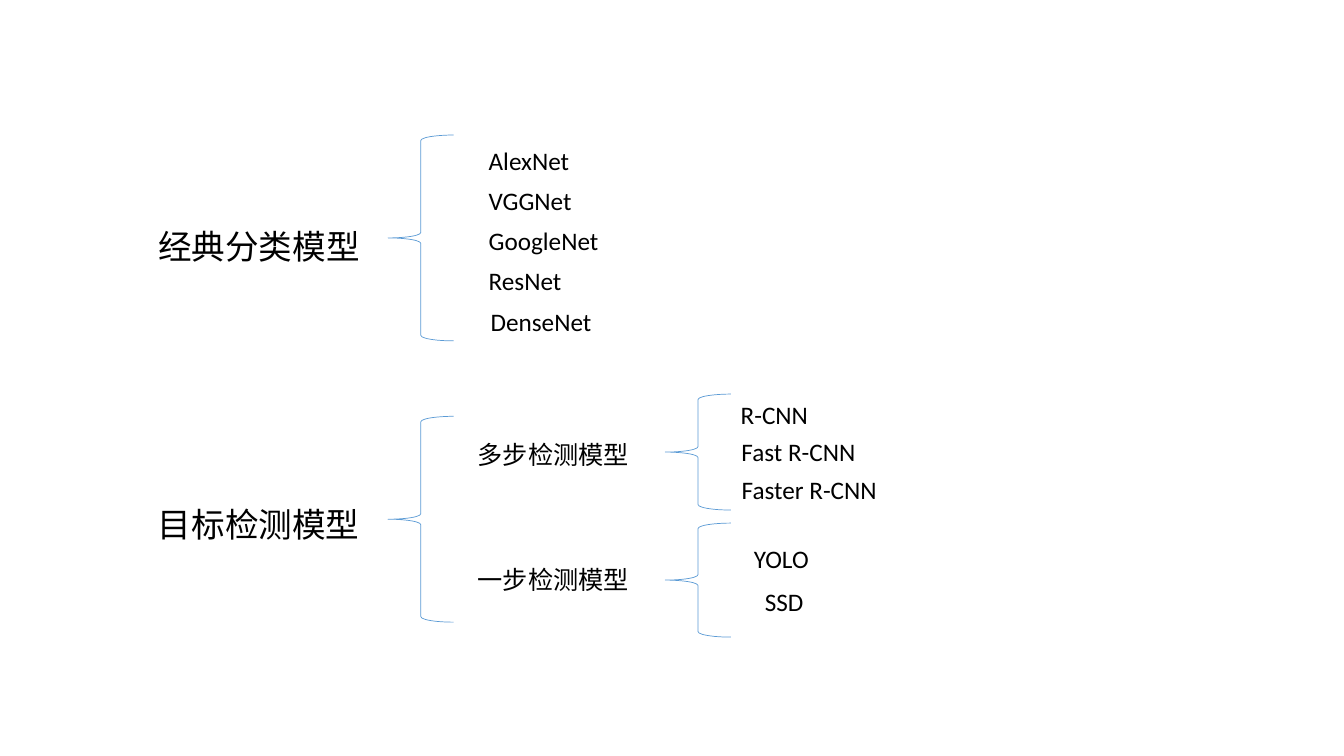
from dataclasses import dataclass

from pptx import Presentation
from pptx.dml.color import RGBColor
from pptx.enum.shapes import MSO_SHAPE
from pptx.util import Pt

LEFT_BRACE = MSO_SHAPE.LEFT_BRACE


@dataclass(frozen=True)
class Theme:
    font: str = "Calibri"
    ink: RGBColor = RGBColor(0x00, 0x00, 0x00)
    brace: RGBColor = RGBColor(0x5B, 0x9B, 0xD5)
    brace_line: float = 0.5
    topic_size: int = 24
    item_size: int = 18


@dataclass(frozen=True)
class Box:
    left: float
    top: float
    width: float
    height: float


@dataclass(frozen=True)
class Label:
    text: str
    dx: float
    dy: float
    width: float
    size: int


@dataclass(frozen=True)
class Items:
    entries: tuple
    dy: float
    pitch: float


THEME = Theme()
ITEM_HEIGHT = 29
TOPIC_HEIGHT = 36


def add_text(page, text, box, size):
    shape = page.shapes.add_textbox(Pt(box.left), Pt(box.top), Pt(box.width), Pt(box.height))
    shape.text_frame.word_wrap = True
    para = shape.text_frame.paragraphs[0]
    para.text = text
    para.font.name = THEME.font
    para.font.size = Pt(size)
    para.font.color.rgb = THEME.ink


def add_brace(page, box):
    brace = page.shapes.add_shape(
        LEFT_BRACE, Pt(box.left), Pt(box.top), Pt(box.width), Pt(box.height))
    brace.shadow.inherit = False
    brace.fill.background()
    brace.line.color.rgb = THEME.brace
    brace.line.width = Pt(THEME.brace_line)


def add_items(page, box, items):
    for row, (text, dx, width) in enumerate(items.entries):
        top = box.top + items.dy + row * items.pitch
        left = box.left + box.width + dx
        add_text(page, text, Box(left, top, width, ITEM_HEIGHT), THEME.item_size)


def add_branch(page, box, label, items=None):
    height = TOPIC_HEIGHT if label.size == THEME.topic_size else ITEM_HEIGHT
    label_box = Box(box.left + label.dx, box.top + label.dy, label.width, height)
    add_text(page, label.text, label_box, label.size)
    add_brace(page, box)
    if items:
        add_items(page, box, items)


def add_model_tree(page):
    topic, item = THEME.topic_size, THEME.item_size
    networks = Items((
        ("AlexNet", 18, 80), ("VGGNet", 18, 80), ("GoogleNet", 18, 101),
        ("ResNet", 18, 101), ("DenseNet", 19.4, 101)), 3.6, 28.7)
    multi_step = Items((
        ("R-CNN", 0, 101), ("Fast R-CNN", 0.5, 101), ("Faster R-CNN", 0.7, 132)), 0, 26.7)
    one_step = Items((("YOLO", 9.4, 58), ("SSD", 17.3, 50)), 10.8, 31)

    add_branch(page, Box(277.2, 96.5, 46.8, 147),
               Label("经典分类模型", -171.4, 61.2, 171.4, topic), networks)
    add_branch(page, Box(277.2, 297.4, 46.8, 147),
               Label("目标检测模型", -171.4, 59, 161.3, topic))
    add_branch(page, Box(475.2, 281.5, 46.8, 82.8),
               Label("多步检测模型", -141.1, 28.8, 141.1, item), multi_step)
    add_branch(page, Box(475.2, 373.7, 46.8, 81.4),
               Label("一步检测模型", -141.1, 25.9, 135.4, item), one_step)


def main():
    deck = Presentation()
    deck.slide_width = Pt(960)
    deck.slide_height = Pt(540)
    page = deck.slides.add_slide(deck.slide_layouts.get_by_name("Blank"))
    add_model_tree(page)
    deck.save("out.pptx")


if __name__ == "__main__":
    main()
